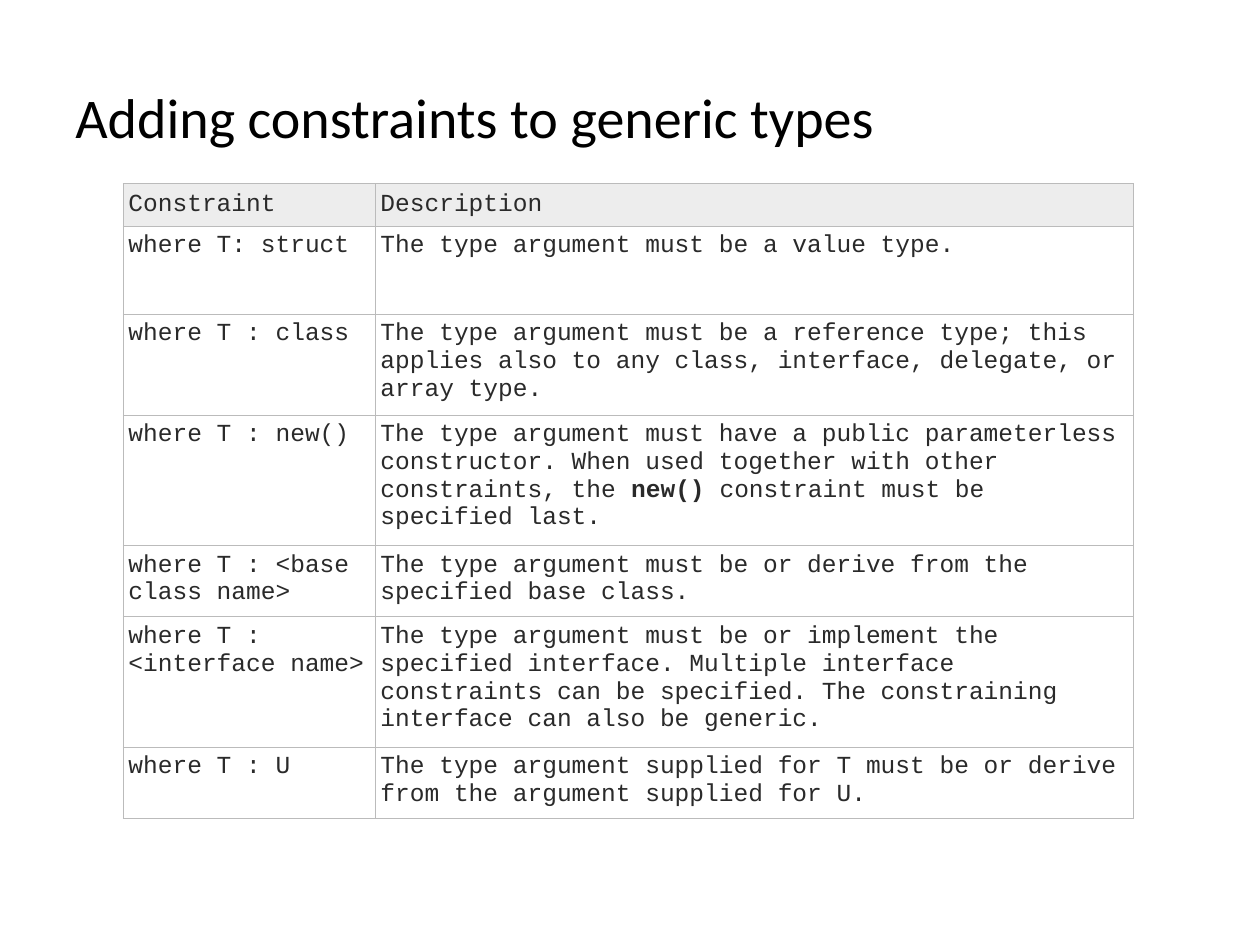
"""Build a slide with a table of the constraints on generic types."""
from lxml import etree
from pptx import Presentation
from pptx import util as u
from pptx.dml.color import RGBColor
from pptx.enum import text
from pptx.oxml import ns

BLACK = RGBColor(0x00, 0x00, 0x00)
INK = RGBColor(0x2A, 0x2A, 0x2A)
HEADER = RGBColor(0xED, 0xED, 0xED)
BORDER = RGBColor(0xBB, 0xBB, 0xBB)

COLUMNS = [2, 6.02]
ROWS = [
    (0.31, "Constraint", ["Description"]),
    (0.7, "where T: struct", ["The type argument must be a value type."]),
    (0.75, "where T : class", [
        "The type argument must be a reference type; this applies also to "
        "any class, interface, delegate, or array type."]),
    (1.03, "where T : new()", [
        "The type argument must have a public parameterless constructor. "
        "When used together with other constraints, the ",
        "new() ", "constraint must be specified last."]),
    (0.56, "where T : <base class name>", [
        "The type argument must be or derive from the specified base class."]),
    (1.03, "where T : <interface name>", [
        "The type argument must be or implement the specified interface. "
        "Multiple interface constraints can be specified. "
        "The constraining interface can also be generic."]),
    (0.56, "where T : U", [
        "The type argument supplied for T must be or derive from the "
        "argument supplied for U."]),
]


def add_text(para, words, font="Courier New", size=14, color=INK, bold=False):
    span = para.add_run()
    span.text = words
    span.font.name = font
    span.font.size = u.Pt(size)
    span.font.color.rgb = color
    span.font.bold = bold


def add_borders(cell, color=BORDER, width=0.63):
    properties = cell._tc.get_or_add_tcPr()
    for index, side in enumerate(("lnL", "lnR", "lnT", "lnB")):
        line = etree.Element(ns.qn(f"a:{side}"), w=str(u.Pt(width)))
        fill = etree.SubElement(line, ns.qn("a:solidFill"))
        etree.SubElement(fill, ns.qn("a:srgbClr"), val=str(color))
        properties.insert(index, line)


deck = Presentation()
deck.slide_width, deck.slide_height = u.Inches(10), u.Inches(7.5)
page = deck.slides.add_slide(deck.slide_layouts[6])

box = page.shapes.add_textbox(
    u.Inches(0.5), u.Inches(0.3), u.Inches(9), u.Inches(1.25))
box.text_frame.word_wrap = True
box.text_frame.vertical_anchor = text.MSO_ANCHOR.MIDDLE
add_text(box.text_frame.paragraphs[0], "Adding constraints to generic types",
         font="Calibri", size=32, color=BLACK)

table = page.shapes.add_table(
    len(ROWS), len(COLUMNS), u.Inches(0.98), u.Inches(1.46),
    u.Inches(sum(COLUMNS)), u.Inches(sum(row[0] for row in ROWS))).table
table.horz_banding = False
for column, width in zip(table.columns, COLUMNS):
    column.width = u.Inches(width)

for number, (height, constraint, description) in enumerate(ROWS):
    table.rows[number].height = u.Inches(height)
    for cell, spans in zip(table.rows[number].cells, ([constraint], description)):
        cell.margin_left = cell.margin_right = u.Inches(0.04)
        cell.margin_top = cell.margin_bottom = u.Inches(0.05)
        if number == 0:
            cell.vertical_anchor = text.MSO_ANCHOR.MIDDLE
            cell.fill.solid()
            cell.fill.fore_color.rgb = HEADER
        else:
            cell.vertical_anchor = text.MSO_ANCHOR.TOP
            cell.fill.background()
        add_borders(cell)
        for position, words in enumerate(spans):
            add_text(cell.text_frame.paragraphs[0], words, bold=position == 1)

deck.save("out.pptx")
